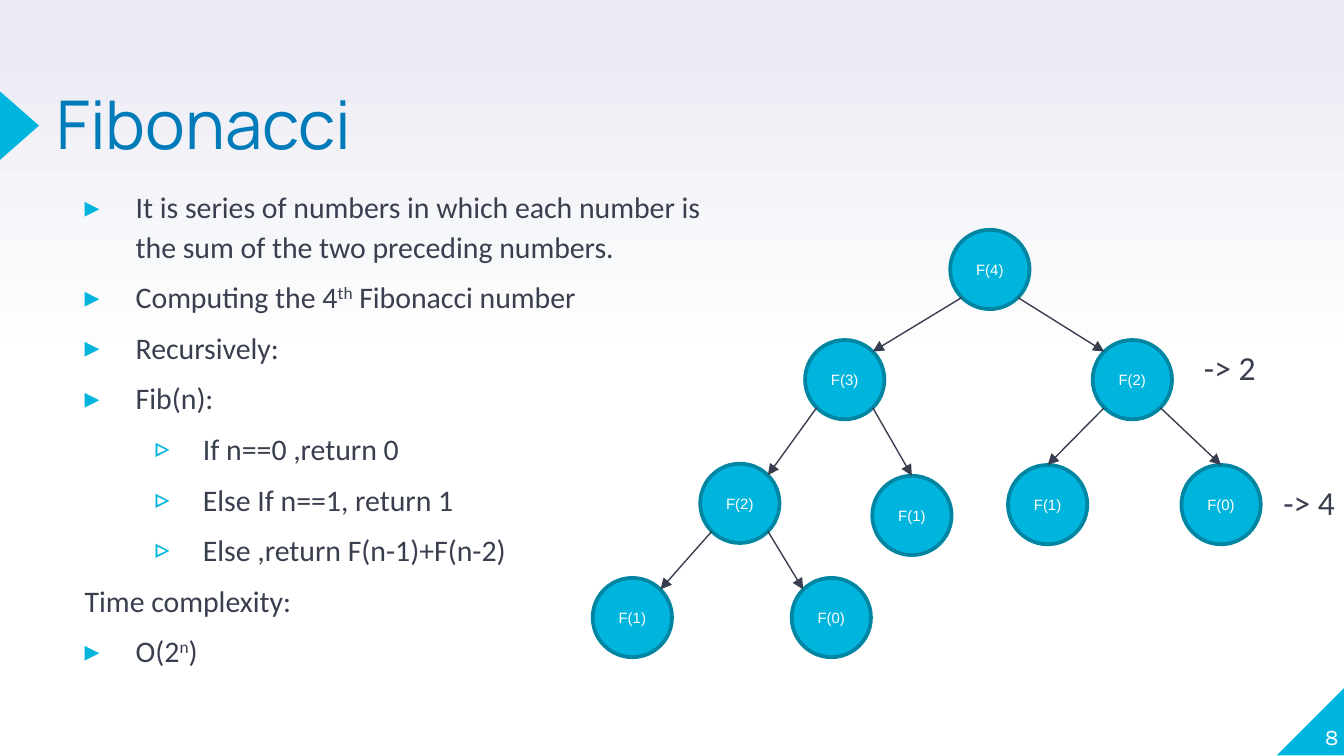
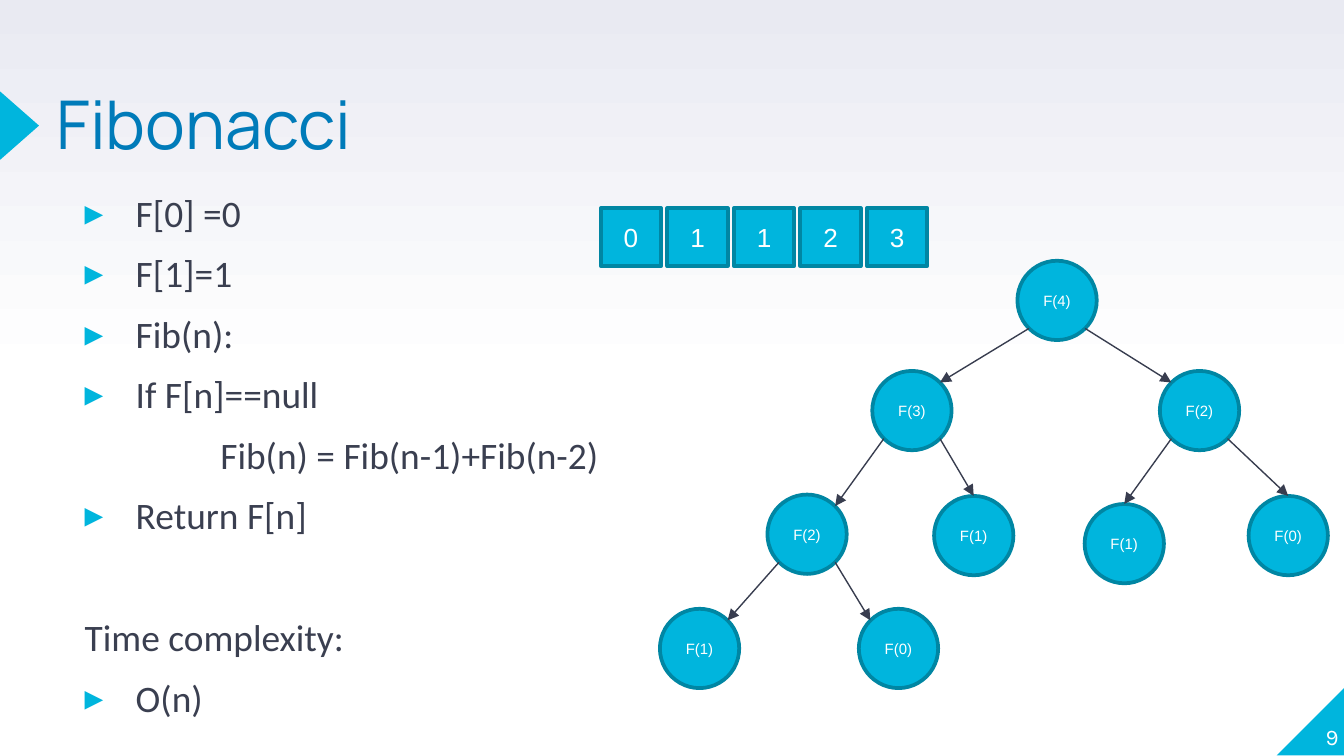
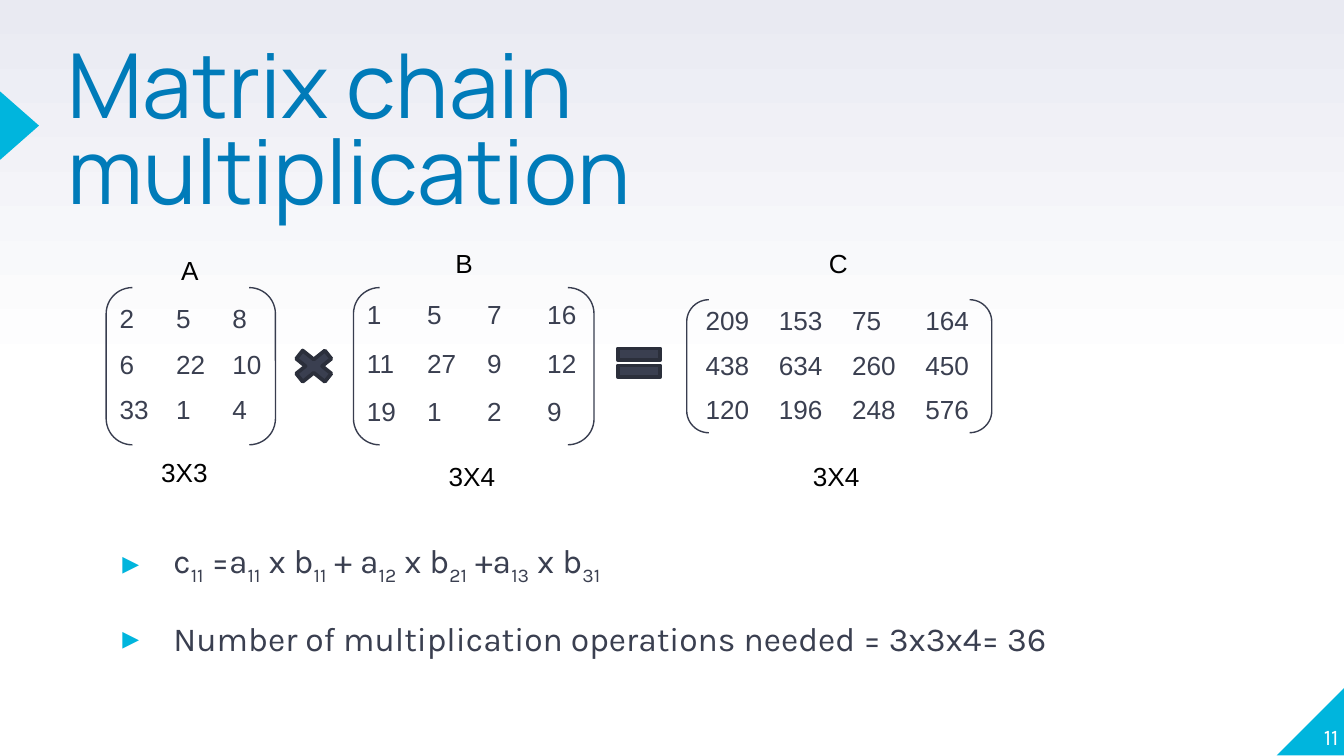
from copy import deepcopy

from lxml.etree import SubElement
from pptx import Presentation
from pptx.dml.color import RGBColor
from pptx.enum.shapes import MSO_CONNECTOR, MSO_SHAPE
from pptx.enum.text import MSO_ANCHOR, MSO_AUTO_SIZE, PP_ALIGN
from pptx.oxml.ns import qn
from pptx.util import Emu, Pt

PX = 9144  # one hundred px to the inch
CYAN, TEAL, BLUE = "00B5DD", "0086A3", "007BB9"
INK, EDGE, DARK = "3A3F50", "383D4F", "2B2F3B"
WHITE, BLACK, MIST = "FFFFFF", "000000", "E9EAF2"
NO_TABLE_STYLE = "{2D5ABB26-0587-4C30-8999-92F81FD0307C}"
SUPERSCRIPT, SUBSCRIPT = 30000, -25000

NODE = 59
DIAGONAL = 0.354  # share of the diameter from centre to a 45 degree point
# call: (label, parent call, whether its arrow lands on top, x, y)
CALLS = {
    "root": ("F(4)", None, False, 266, 0),
    "left": ("F(3)", "root", False, 158, 82),
    "right": ("F(2)", "root", False, 372, 82),
    "left-left": ("F(2)", "left", False, 80, 174),
    "left-right": ("F(1)", "left", True, 208, 183),
    "right-left": ("F(1)", "right", True, 309, 175),
    "right-right": ("F(0)", "right", True, 438, 175),
    "leaf-one": ("F(1)", "left-left", False, 0, 259),
    "leaf-zero": ("F(0)", "left-left", False, 148, 259),
}

MATRIX_A = [[2, 5, 8], [6, 22, 10], [33, 1, 4]]
MATRIX_B = [[1, 5, 7, 16], [11, 27, 9, 12], [19, 1, 2, 9]]
MATRIX_C = [[209, 153, 75, 164], [438, 634, 260, 450], [120, 196, 248, 576]]


def px(*lengths):
    return [Emu(round(length * PX)) for length in lengths]


def rgb(color):
    return RGBColor.from_string(color)


def write(paragraph, text, size=14, font="Arial", color=INK, align=PP_ALIGN.LEFT,
          spacing=None, before=None, shift=SUPERSCRIPT):
    """Add text to a paragraph; parts between bars are raised or lowered."""
    paragraph.alignment = align
    if spacing:
        paragraph.line_spacing = spacing
    if before is not None:
        paragraph.space_before = Pt(before)
    for index, part in enumerate(text.split("|")):
        if not part:
            continue
        run = paragraph.add_run()
        run.text = part
        run.font.size, run.font.name = Pt(size), font
        run.font.color.rgb = rgb(color)
        if index % 2:
            run._r.get_or_add_rPr().set("baseline", str(shift))


def set_bullet(paragraph, mark, left, hang):
    properties = paragraph._p.get_or_add_pPr()
    properties.set("marL", str(px(left)[0]))
    properties.set("indent", str(px(-hang)[0]))
    if mark:
        color = SubElement(properties, qn("a:buClr"))
        SubElement(color, qn("a:srgbClr"), val=CYAN)
        SubElement(properties, qn("a:buChar"), char=mark)
    else:
        SubElement(properties, qn("a:buNone"))


def clear_insets(frame):
    frame.margin_left = frame.margin_top = frame.margin_right = frame.margin_bottom = 0


def add_figure(slide, kind, box, fill=None, line=None, width=2, text="", **style):
    figure = slide.shapes.add_shape(kind, *px(*box))
    figure.shadow.inherit = False
    if fill:
        figure.fill.solid()
        figure.fill.fore_color.rgb = rgb(fill)
    else:
        figure.fill.background()
    if line:
        figure.line.color.rgb = rgb(line)
        figure.line.width = Pt(width)
    else:
        figure.line.fill.background()
    if text:
        figure.text_frame.vertical_anchor = MSO_ANCHOR.MIDDLE
        write(figure.text_frame.paragraphs[0], text, color=WHITE,
              align=PP_ALIGN.CENTER, **style)
    return figure


def add_label(slide, box, text, wrap=False, **style):
    frame = slide.shapes.add_textbox(*px(*box)).text_frame
    frame.word_wrap = wrap
    frame.auto_size = MSO_AUTO_SIZE.SHAPE_TO_FIT_TEXT
    write(frame.paragraphs[0], text, **style)


def add_arrow(slide, start, end):
    arrow = slide.shapes.add_connector(MSO_CONNECTOR.STRAIGHT, *px(*start, *end))
    arrow.line.color.rgb = rgb(EDGE)
    arrow.line.width = Pt(0.75)
    SubElement(arrow.line._get_or_add_ln(), qn("a:tailEnd"), type="triangle")
    SubElement(arrow.element.spPr, qn("a:effectLst"))


def style_master(prs, slide):
    """Give the master its background, title marker and page corner."""
    master = prs.slide_master
    fill = master.background.fill
    fill.gradient()
    fill.gradient_angle = 90
    stops = next(master.element.iter(qn("a:gsLst")))
    stops.insert(0, deepcopy(stops[0]))
    for stop, (place, color) in zip(fill.gradient_stops,
                                    [(0, WHITE), (0.5, WHITE), (1, MIST)]):
        stop.position = place
        stop.color.rgb = rgb(color)

    corner = add_figure(slide, MSO_SHAPE.RIGHT_TRIANGLE, (950, 511, 51, 51), CYAN)
    corner.element.spPr.find(qn("a:xfrm")).set("flipH", "1")
    marker = add_figure(slide, MSO_SHAPE.ISOSCELES_TRIANGLE, (-11, 79, 51, 29), CYAN)
    marker.rotation = 90
    for part in (corner, marker):
        master.shapes.element.append(part.element)


def prepare(placeholder, box):
    placeholder.left, placeholder.top, placeholder.width, placeholder.height = px(*box)
    frame = placeholder.text_frame
    clear_insets(frame)
    frame.word_wrap = True
    frame.auto_size = MSO_AUTO_SIZE.NONE
    frame.vertical_anchor = MSO_ANCHOR.TOP
    return frame


def start_slide(prs, title, number, box=(42, 73, 770, 47), size=36):
    slide = prs.slides.add_slide(prs.slide_layouts[1])
    heading = prepare(slide.shapes.title, box)
    write(heading.paragraphs[0], title, size=size, font="Manrope", color=BLUE, spacing=0.8)

    page = slide.shapes.add_textbox(*px(946, 507, 50, 51)).text_frame
    clear_insets(page)
    page.word_wrap = True
    page.vertical_anchor = MSO_ANCHOR.BOTTOM
    write(page.paragraphs[0], number, size=12, font="Karla", color=WHITE,
          align=PP_ALIGN.RIGHT)
    return slide


def fill_body(slide, box, items, spacing=1.1, **style):
    """Items are (kind, text) or (kind, text, points before)."""
    kinds = {"point": (0, "▸", 50, 38), "step": (1, "▹", 100, 38),
             "plain": (0, None, 12, 0), "inner": (0, None, 113, 0)}
    frame = prepare(slide.placeholders[1], box)
    for index, (kind, text, *before) in enumerate(items):
        paragraph = frame.add_paragraph() if index else frame.paragraphs[0]
        level, mark, left, hang = kinds[kind]
        paragraph.level = level
        write(paragraph, text, spacing=spacing, before=before[0] if before else 6, **style)
        set_bullet(paragraph, mark, left, hang)


def add_call_tree(slide, left, top, moved=None):
    spots = {call: (left + x, top + y) for call, (*_, x, y) in CALLS.items()}
    for call, (x, y) in (moved or {}).items():
        spots[call] = (left + x, top + y)

    for call, (label, *_) in CALLS.items():
        add_figure(slide, MSO_SHAPE.OVAL, (*spots[call], NODE, NODE), CYAN, TEAL,
                   text=label, size=8)

    # Arrows from each call to the calls it makes
    reach = NODE * DIAGONAL
    centres = {call: (x + NODE / 2, y + NODE / 2) for call, (x, y) in spots.items()}
    for call, (_, parent, on_top, *_) in CALLS.items():
        if parent is None:
            continue
        (px_, py_), (cx, cy) = centres[parent], centres[call]
        side = 1 if cx > px_ else -1
        end = (cx, cy - NODE / 2) if on_top else (cx - side * reach, cy - reach)
        add_arrow(slide, (px_ + side * reach, py_ + reach), end)


def add_memo_row(slide, left, top, values):
    for index, value in enumerate(values):
        add_figure(slide, MSO_SHAPE.RECTANGLE, (left + index * 49.5, top, 45, 43),
                   CYAN, TEAL, text=str(value))


def add_matrix(slide, box, values, row_heights, brackets, name, name_box, size, size_box):
    left, top, width, height = box
    frame = slide.shapes.add_table(len(values), len(values[0]), *px(*box))
    next(frame.element.iter(qn("a:tableStyleId"))).text = NO_TABLE_STYLE
    table = frame.table
    table.first_row = table.horz_banding = False
    for column in table.columns:
        column.width = px(width / len(values[0]))[0]
    for row, row_height, numbers in zip(table.rows, row_heights, values):
        row.height = px(row_height)[0]
        for cell, number in zip(row.cells, numbers):
            cell.fill.background()
            write(cell.text_frame.paragraphs[0], str(number))

    add_figure(slide, MSO_SHAPE.DOUBLE_BRACKET, brackets, line=EDGE, width=0.75)
    add_label(slide, name_box, name, color=BLACK)
    add_label(slide, size_box, size, wrap=True, color=BLACK)


def build_recursive(prs):
    slide = start_slide(prs, "Fibonacci", "8")
    style_master(prs, slide)
    fill_body(slide, (51, 138, 490, 409), [
        ("point", "It is series of numbers in which each number is "
                  "the sum of the two preceding numbers."),
        ("point", "Computing the 4|th| Fibonacci number"),
        ("point", "Recursively:"),
        ("point", "Fib(n):"),
        ("step", "If n==0 ,return 0"),
        ("step", "Else If n==1, return 1"),
        ("step", "Else ,return F(n-1)+F(n-2)"),
        ("plain", "Time complexity:"),
        ("point", "O(2|n|)"),
    ], size=16, font="Calibri")
    add_call_tree(slide, 441, 171)
    for left, top, count in [(886, 253, "-> 2"), (945, 354, "-> 4")]:
        add_label(slide, (left, top, 59, 40), count, size=18, font="Calibri")


def build_memoized(prs):
    slide = start_slide(prs, "Fibonacci", "9")
    fill_body(slide, (51, 138, 417, 409), [
        ("point", "F[0] =0"),
        ("point", "F[1]=1"),
        ("point", "Fib(n):"),
        ("point", "If F[n]==null"),
        ("inner", "Fib(n) = Fib(n-1)+Fib(n-2)"),
        ("point", "Return F[n]"),
        ("plain", "Time complexity:", 39),
        ("point", "O(n)"),
    ], size=20, font="Calibri")
    add_call_tree(slide, 491, 194,
                  moved={"left-right": (204, 175), "right-left": (316, 181)})
    add_memo_row(slide, 447, 155, [0, 1, 1, 2, 3])


def build_matrix_chain(prs):
    slide = start_slide(prs, "Matrix chain multiplication", "11",
                        box=(50, 37, 625, 137), size=48)
    fill_body(slide, (79, 385, 729, 154), [
        ("point", "c|11| =a|11| x b|11| + a|12| x b|21| +a|13| x b|31|"),
        ("point", "Number of multiplication operations needed = 3x3x4= 36"),
    ], spacing=1.5, size=18, font="Karla", shift=SUBSCRIPT)

    # The product A x B = C
    add_matrix(slide, (79, 222, 126, 101), MATRIX_A, (34, 31, 34), (79, 214, 126, 117),
               "A", (125, 184, 33, 34), "3X3", (110, 335, 58, 34))
    add_figure(slide, MSO_SHAPE.MATH_MULTIPLY, (213, 256, 41, 33), INK, DARK)
    add_matrix(slide, (263, 219, 179, 107), MATRIX_B, (36, 36, 36), (263, 214, 179, 117),
               "B", (329, 179, 33, 34), "3X4", (324, 338, 58, 34))
    add_figure(slide, MSO_SHAPE.MATH_EQUAL, (454, 252, 43, 36), INK, DARK)
    add_matrix(slide, (515, 223, 218, 100), MATRIX_C, (33, 33, 33), (511, 223, 227, 99),
               "C", (607, 179, 34, 34), "3X4", (595, 338, 58, 34))


def main():
    prs = Presentation()
    prs.slide_width, prs.slide_height = px(1000, 562.5)
    build_recursive(prs)
    build_memoized(prs)
    build_matrix_chain(prs)
    prs.save("out.pptx")


if __name__ == "__main__":
    main()
